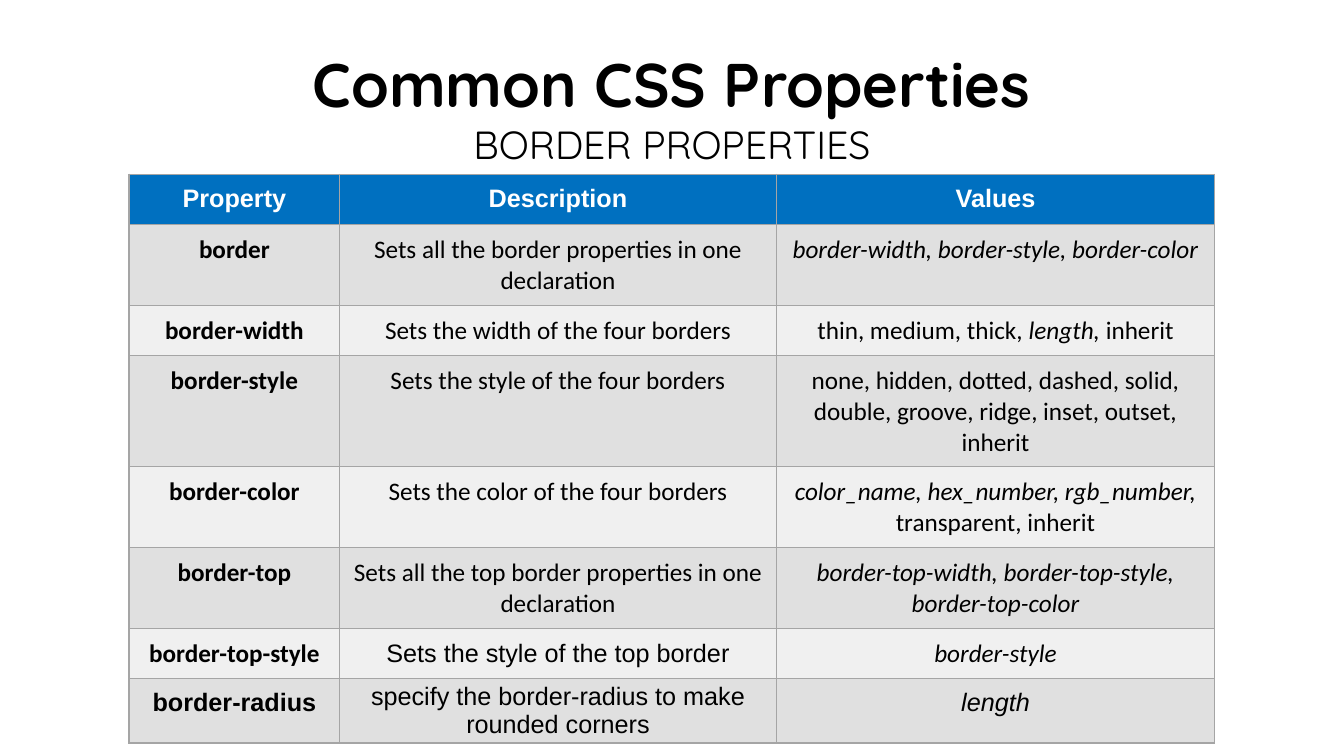
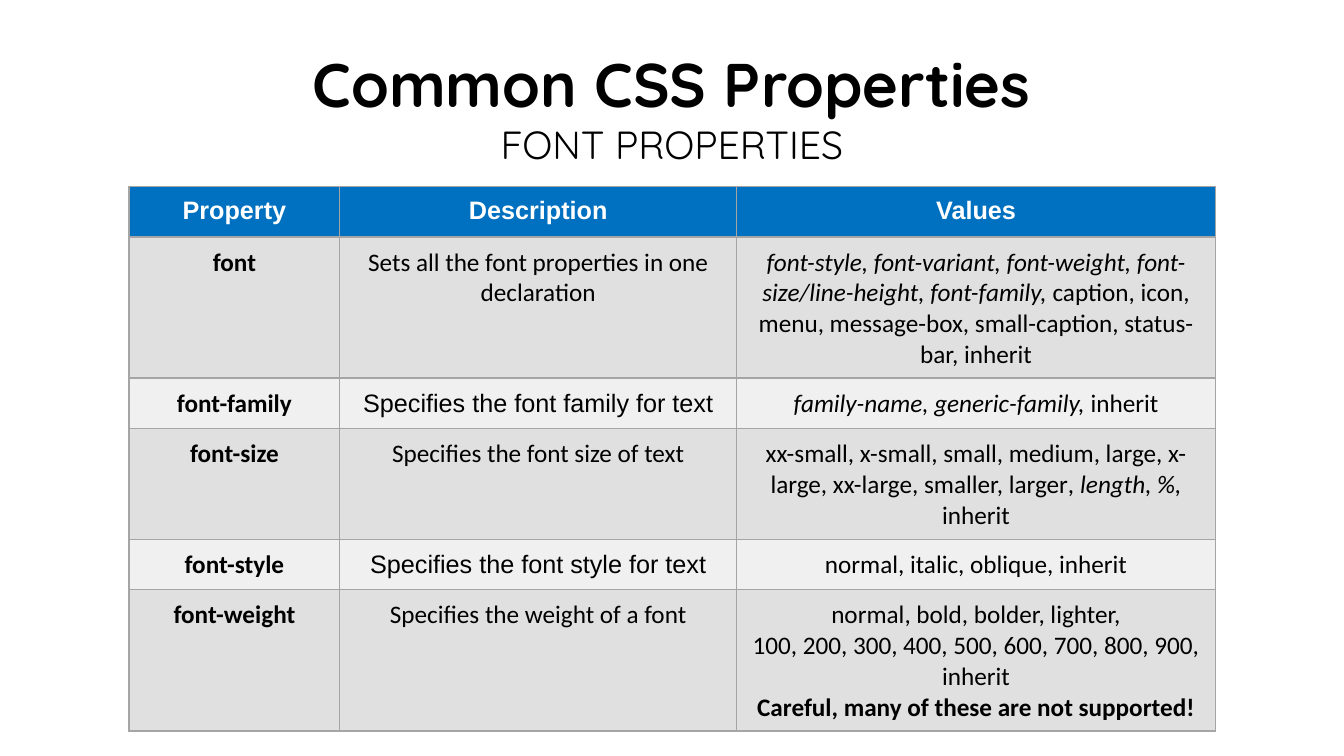
import lxml.etree
import pptx
import pptx.dml.color
import pptx.enum.text
import pptx.oxml.ns
import pptx.util

Pt = pptx.util.Pt
Align = pptx.enum.text.PP_ALIGN
Anchor = pptx.enum.text.MSO_ANCHOR
Fit = pptx.enum.text.MSO_AUTO_SIZE
FONTS = {"A": "Arial", "C": "Calibri"}


def color(code):
    return pptx.dml.color.RGBColor.from_string(code)


def write(frame, lines, **style):
    for index, line in enumerate(lines):
        words, extra = line if isinstance(line, tuple) else (line, {})
        look = {"bold": False, "ink": "000000", **style, **extra}
        para = frame.paragraphs[0] if index == 0 else frame.add_paragraph()
        para.alignment = Align.CENTER
        for turn, part in enumerate(words.split("*")):
            if part:
                run = para.add_run()
                run.text = part
                font = run.font
                font.name = look["font"]
                font.size = Pt(look["size"])
                font.bold = look["bold"]
                font.italic = turn % 2 == 1
                font.color.rgb = color(look["ink"])


class Deck:
    head = "0070C0"
    bands = ("E0E0E0", "F0F0F0")
    edge = "A5A5A5"
    left = 92.2

    def __init__(self):
        self.show = pptx.Presentation()
        self.show.slide_width = Pt(960)
        self.show.slide_height = Pt(540)

    def start(self, topic):
        self.slide = self.show.slides.add_slide(self.show.slide_layouts[5])
        title = self.slide.shapes.title
        title.left, title.top = Pt(190.8), Pt(29.5)
        title.width, title.height = Pt(578.2), Pt(94.3)
        frame = title.text_frame
        frame.word_wrap = True
        frame.auto_size = Fit.SHAPE_TO_FIT_TEXT
        frame.vertical_anchor = Anchor.TOP
        lines = ["Common CSS Properties", (topic, {"size": 28, "bold": False})]
        write(frame, lines, font="Quicksand", size=44, bold=True)

    def border(self, cell):
        props = cell._tc.get_or_add_tcPr()
        for place, side in enumerate(("lnL", "lnR", "lnT", "lnB")):
            line = lxml.etree.Element(pptx.oxml.ns.qn("a:" + side), w=str(Pt(1)))
            fill = lxml.etree.SubElement(line, pptx.oxml.ns.qn("a:solidFill"))
            lxml.etree.SubElement(fill, pptx.oxml.ns.qn("a:srgbClr"), val=self.edge)
            props.insert(place, line)

    def cell(self, cell, lines, fill, snug=False, **style):
        cell.margin_left = cell.margin_right = Pt(3.6 if snug else 7.2)
        cell.margin_top = cell.margin_bottom = Pt(1.4 if snug else 7.2)
        cell.vertical_anchor = Anchor.MIDDLE if snug else Anchor.TOP
        cell.fill.solid()
        cell.fill.fore_color.rgb = color(fill)
        self.border(cell)
        write(cell.text_frame, lines, size=18, **style)

    def table(self, top, widths, rows):
        heights = [36] + [29.5] * len(rows)
        shape = self.slide.shapes.add_table(
            len(heights), len(widths), Pt(self.left), Pt(top),
            Pt(sum(widths)), Pt(sum(heights)))
        table = shape.table
        table.first_row = table.horz_banding = False
        for column, width in zip(table.columns, widths):
            column.width = Pt(width)
        for row, height in zip(table.rows, heights):
            row.height = Pt(height)
        for col, label in enumerate(("Property", "Description", "Values")):
            self.cell(table.cell(0, col), [label], self.head,
                      font="Arial", bold=True, ink="FFFFFF")
        for index, (fonts, name, about, *values) in enumerate(rows):
            for col, lines in enumerate(([name], [about], values)):
                self.cell(table.cell(index + 1, col), lines, self.bands[index % 2],
                          snug=col == 1 and fonts[col] == "A",
                          font=FONTS[fonts[col]], bold=col == 0)


BORDER = [
    ("CCC", "border", "Sets all the border properties in one declaration",
     "*border-width, border-style, border-color*"),
    ("CCC", "border-width", "Sets the width of the four borders",
     "thin, medium, thick, *length, *inherit"),
    ("CCC", "border-style", "Sets the style of the four borders",
     "none, hidden, dotted, dashed, solid, double, groove, ridge, inset, outset, inherit"),
    ("CCC", "border-color", "Sets the color of the four borders",
     "*color_name, hex_number, rgb_number, *transparent, inherit"),
    ("CCC", "border-top", "Sets all the top border properties in one declaration",
     "*border-top-width, border-top-style, border-top-color*"),
    ("CAC", "border-top-style", "Sets the style of the top border", "*border-style*"),
    ("AAA", "border-radius", "specify the border-radius to make rounded corners", "*length*"),
]
FONT = [
    ("CCC", "font", "Sets all the font properties in one declaration",
     "*font-style, font-variant, font-weight, font-size/line-height, font-family, *"
     "caption, icon, menu, message-box, small-caption, status-bar, inherit"),
    ("CAC", "font-family", "Specifies the font family for text",
     "*family-name, generic-family, *inherit"),
    ("CCC", "font-size", "Specifies the font size of text",
     "xx-small, x-small, small, medium, large, x-large, xx-large, smaller, larger"
     "*, length, %, *inherit"),
    ("CAC", "font-style", "Specifies the font style for text",
     "normal, italic, oblique, inherit"),
    ("CCC", "font-weight", "Specifies the weight of a font",
     "normal, bold, bolder, lighter,",
     "100, 200, 300, 400, 500, 600, 700, 800, 900, inherit",
     ("Careful, many of these are not supported!", {"bold": True})),
]


def main():
    deck = Deck()
    deck.start("BORDER PROPERTIES")
    deck.table(124.5, (150.5, 311.8, 313.2), BORDER)
    deck.start("FONT PROPERTIES")
    deck.table(133.2, (150.5, 283.5, 342), FONT)
    deck.show.save("out.pptx")


if __name__ == "__main__":
    main()
